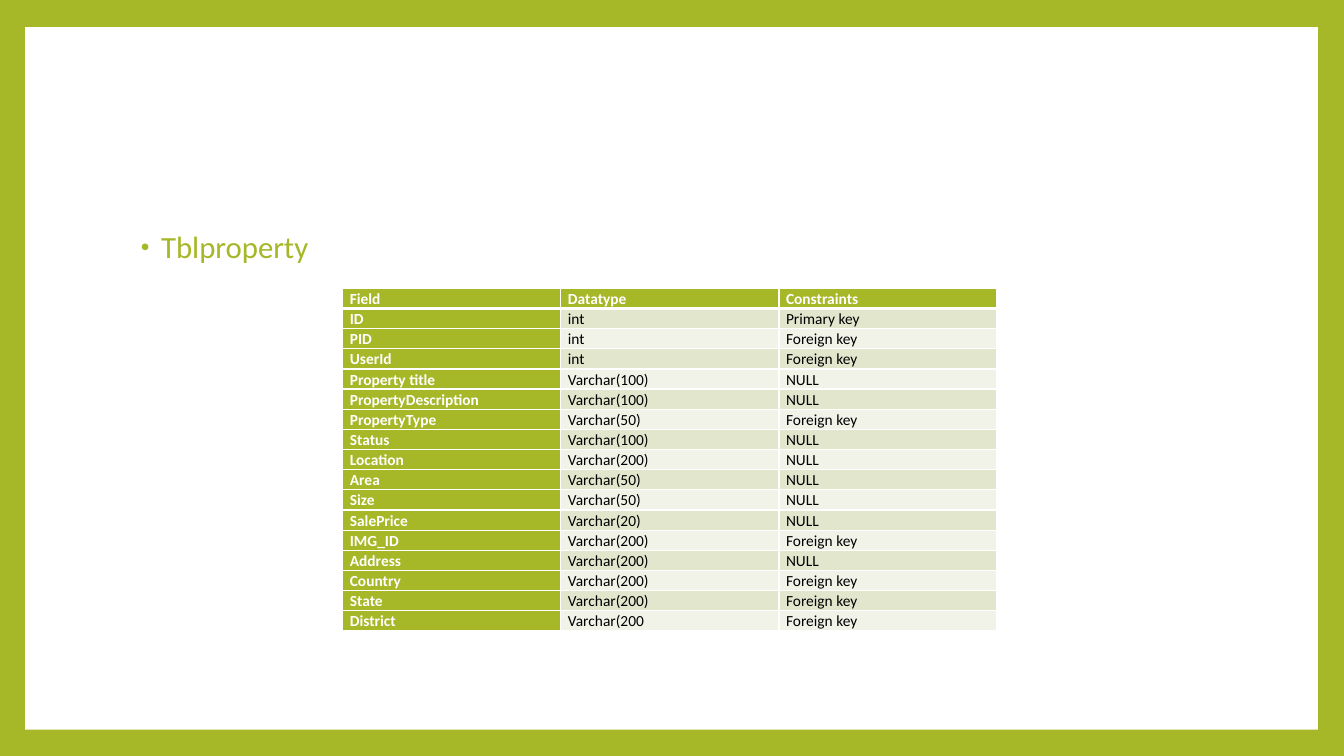
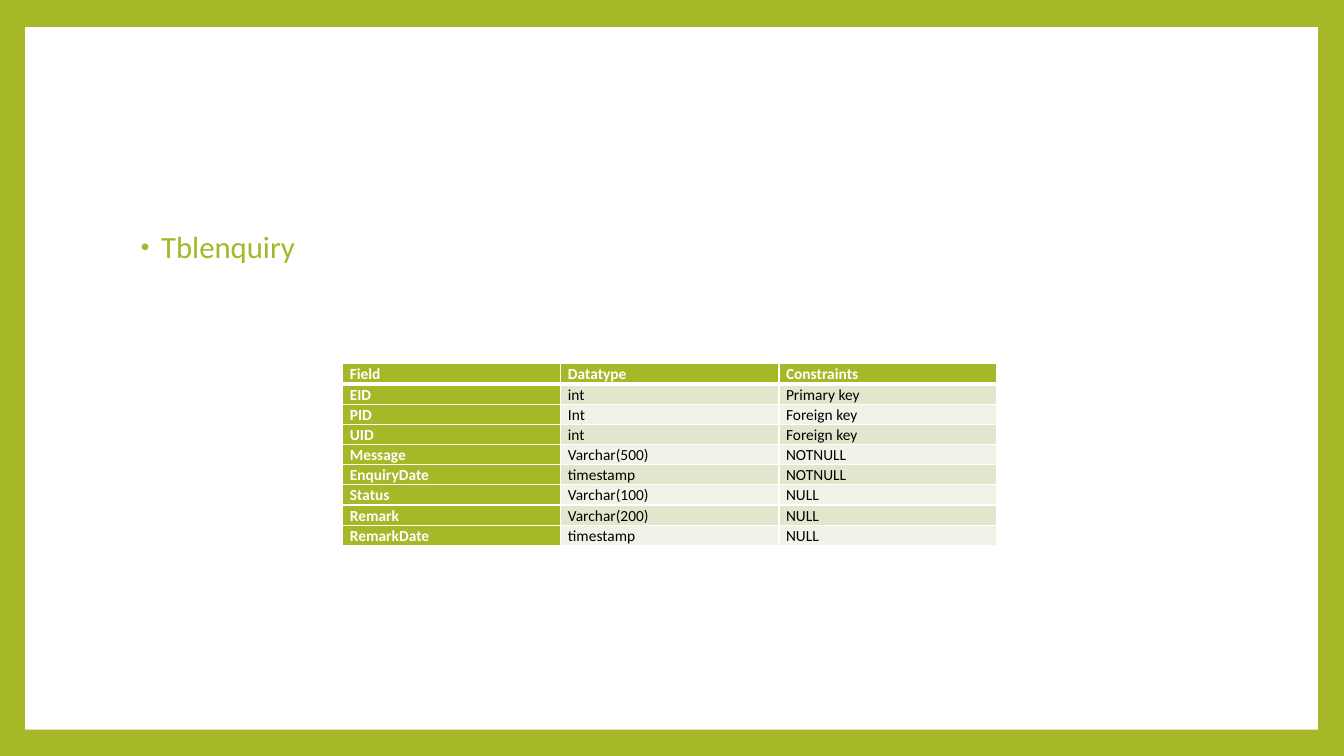
from lxml import etree
from pptx import Presentation
from pptx.dml.color import RGBColor
from pptx.enum import shapes, text
from pptx.oxml.ns import qn
from pptx.util import Inches, Pt

# Shared look
GREEN = RGBColor(0xA6, 0xB7, 0x27)
WHITE = RGBColor(0xFF, 0xFF, 0xFF)
BLACK = RGBColor(0x00, 0x00, 0x00)
BANDS = (RGBColor(0xE1, 0xE6, 0xCD), RGBColor(0xF1, 0xF3, 0xE8))
FONT = "Calibri"
TABLE_LEFT = 3.4
COLUMN_WIDTH = 2.163
ROW_HEIGHT = 0.2

# Table contents
HEADER = ("Field", "Datatype", "Constraints")
PROPERTY_ROWS = [
    ("ID", "int", "Primary key"),
    ("PID", "int", "Foreign key"),
    ("UserId", "int", "Foreign key"),
    ("Property title", "Varchar(100)", "NULL"),
    ("PropertyDescription", "Varchar(100)", "NULL"),
    ("PropertyType", "Varchar(50)", "Foreign key"),
    ("Status", "Varchar(100)", "NULL"),
    ("Location", "Varchar(200)", "NULL"),
    ("Area", "Varchar(50)", "NULL"),
    ("Size", "Varchar(50)", "NULL"),
    ("SalePrice", "Varchar(20)", "NULL"),
    ("IMG_ID", "Varchar(200)", "Foreign key"),
    ("Address", "Varchar(200)", "NULL"),
    ("Country", "Varchar(200)", "Foreign key"),
    ("State", "Varchar(200)", "Foreign key"),
    ("District", "Varchar(200", "Foreign key"),
]
ENQUIRY_ROWS = [
    ("EID", "int", "Primary key"),
    ("PID", "Int", "Foreign key"),
    ("UID", "int", "Foreign key"),
    ("Message", "Varchar(500)", "NOTNULL"),
    ("EnquiryDate", "timestamp", "NOTNULL"),
    ("Status", "Varchar(100)", "NULL"),
    ("Remark", "Varchar(200)", "NULL"),
    ("RemarkDate", "timestamp", "NULL"),
]


def add_span(para, content, size, color, bold=False):
    span = para.add_run()
    span.text = content
    span.font.name = FONT
    span.font.size = Pt(size)
    span.font.bold = bold
    span.font.color.rgb = color


def add_framed_page(deck):
    """Add a page with a white panel inside a green frame."""
    page = deck.slides.add_slide(deck.slide_layouts[6])
    page.background.fill.solid()
    page.background.fill.fore_color.rgb = GREEN
    panel = page.shapes.add_shape(
        shapes.MSO_SHAPE.RECTANGLE,
        Inches(0.25), Inches(0.27), Inches(12.82), Inches(6.97))
    panel.shadow.inherit = False
    panel.fill.solid()
    panel.fill.fore_color.rgb = WHITE
    panel.line.fill.background()
    return page


def set_bullet(para):
    props = para._p.get_or_add_pPr()
    props.set("marL", str(Inches(0.25)))
    props.set("indent", str(Inches(-0.2)))
    color = etree.SubElement(props, qn("a:buClr"))
    etree.SubElement(color, qn("a:srgbClr"), val=str(GREEN))
    etree.SubElement(props, qn("a:buSzPct"), val="80000")
    etree.SubElement(props, qn("a:buFont"), typeface="Arial")
    etree.SubElement(props, qn("a:buChar"), char="•")


def add_bullet_heading(page, content):
    box = page.shapes.add_textbox(
        Inches(1.25), Inches(2.25), Inches(10.8), Inches(4.42))
    box.text_frame.word_wrap = True
    box.text_frame.vertical_anchor = text.MSO_ANCHOR.TOP
    para = box.text_frame.paragraphs[0]
    para.line_spacing = 0.9
    set_bullet(para)
    add_span(para, content, 22, GREEN)


def set_borders(cell, top, bottom):
    """Draw white cell edges; the side edges are one point wide."""
    props = cell._tc.get_or_add_tcPr()
    edges = (("a:lnL", 1), ("a:lnR", 1), ("a:lnT", top), ("a:lnB", bottom))
    for position, (tag, width) in enumerate(edges):
        line = etree.Element(qn(tag), w=str(Pt(width)))
        fill = etree.SubElement(line, qn("a:solidFill"))
        etree.SubElement(fill, qn("a:srgbClr"), val=str(WHITE))
        props.insert(position, line)


def fill_cell(cell, content, row, column):
    is_heading = row == 0 or column == 0
    cell.margin_left = cell.margin_right = Inches(0.07)
    cell.margin_top = cell.margin_bottom = 0
    cell.fill.solid()
    cell.fill.fore_color.rgb = GREEN if is_heading else BANDS[(row - 1) % 2]
    set_borders(cell, top=3 if row == 1 else 1, bottom=3 if row == 0 else 1)
    para = cell.text_frame.paragraphs[0]
    para.line_spacing = 1.07
    add_span(para, content, 11, WHITE if is_heading else BLACK, is_heading)


def add_field_table(page, top, records):
    rows = [HEADER, *records]
    table = page.shapes.add_table(
        len(rows), len(HEADER), Inches(TABLE_LEFT), Inches(top),
        Inches(COLUMN_WIDTH * len(HEADER)),
        Inches(ROW_HEIGHT * len(rows))).table
    table.first_col = True
    for row, values in enumerate(rows):
        for column, content in enumerate(values):
            fill_cell(table.cell(row, column), content, row, column)


def main():
    deck = Presentation()
    deck.slide_width, deck.slide_height = Inches(13.33), Inches(7.5)
    for heading, top, records in (
            ("Tblproperty", 2.86, PROPERTY_ROWS),
            ("Tblenquiry", 3.61, ENQUIRY_ROWS)):
        page = add_framed_page(deck)
        add_bullet_heading(page, heading)
        add_field_table(page, top, records)
    deck.save("out.pptx")


if __name__ == "__main__":
    main()
